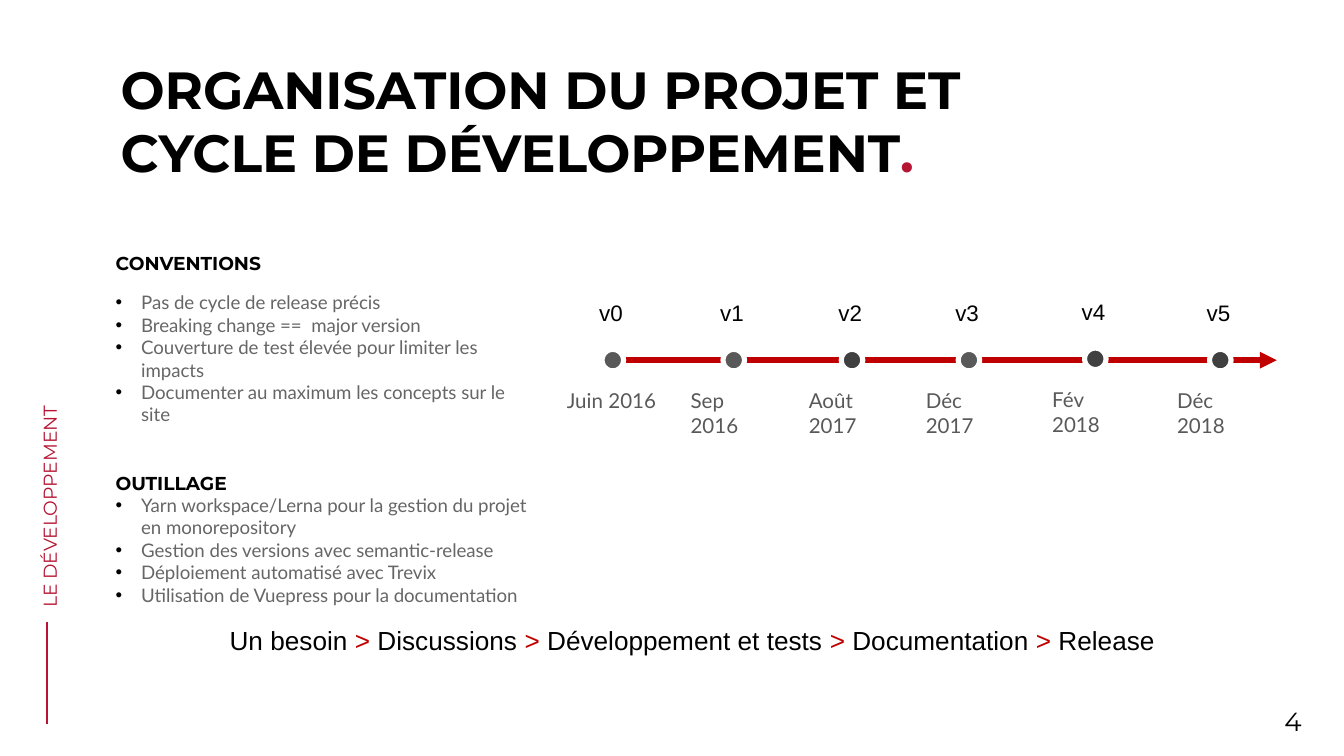
from lxml.etree import SubElement
from pptx import Presentation
from pptx.dml.color import RGBColor
from pptx.enum.shapes import MSO_CONNECTOR, MSO_SHAPE
from pptx.enum.text import MSO_ANCHOR, MSO_AUTO_SIZE, PP_ALIGN
from pptx.oxml.ns import qn
from pptx.util import Inches, Pt

COLORS = {"black": "000000", "crimson": "B51432", "red": "C00000", "grey": "666666",
          "slate": "595959", "dark": "404040", "white": "FFFFFF"}

FORMATS = {
    "title": {"name": "Montserrat", "size": Pt(28), "bold": True},
    "heading": {"name": "Montserrat", "size": Pt(10), "bold": True},
    "section": {"name": "Montserrat", "size": Pt(10)},
    "number": {"name": "Montserrat", "size": Pt(14)},
    "bullet": {"name": "Lato", "size": Pt(10)},
    "date": {"name": "Lato", "size": Pt(11)},
    "version": {"name": "Arial", "size": Pt(12)},
    "process": {"name": "Arial", "size": Pt(14)},
}

CONVENTIONS = [
    "Pas de cycle de release précis",
    "Breaking change ==  major version",
    "Couverture de test élevée pour limiter les impacts",
    "Documenter au maximum les concepts sur le site",
]
TOOLS = [
    "Yarn workspace/Lerna pour la gestion du projet en monorepository",
    "Gestion des versions avec semantic-release",
    "Déploiement automatisé avec Trevix",
    "Utilisation de Vuepress pour la documentation",
]
MILESTONES = [
    ("Juin 2016", 4.48, 2.6, 0.88, "slate"),
    ("Sep 2016", 5.38, 2.6, 0.84, "slate"),
    ("Août 2017", 6.26, 2.6, 0.9, "dark"),
    ("Déc 2017", 7.13, 2.6, 0.84, "slate"),
    ("Fév 2018", 8.07, 2.59, 0.82, "dark"),
    ("Déc 2018", 9, 2.6, 0.84, "dark"),
]
STEPS = ["Un besoin ", " Discussions ", " Développement et tests ", " Documentation ", " Release"]


class SlideBuilder:
    """Hold the style and the current slide, and draw each kind of element."""

    def __init__(self, slide):
        self.slide = slide

    def color(self, name):
        """Return a named colour."""
        return RGBColor.from_string(COLORS[name])

    def text_box(self, left, top, width, height, insets=(0.1, 0.05, 0.1, 0.05), **frame_format):
        """Add an empty text box and return its shape."""
        shape = self.slide.shapes.add_textbox(*map(Inches, (left, top, width, height)))
        sides = ("margin_left", "margin_top", "margin_right", "margin_bottom")
        settings = {"word_wrap": True, **dict(zip(sides, map(Inches, insets))), **frame_format}
        for name, value in settings.items():
            setattr(shape.text_frame, name, value)
        return shape

    def paragraph(self, shape, style, runs, bullet=False, **paragraph_format):
        """Write a paragraph of (text, colour) runs."""
        frame = shape.text_frame
        paragraph = frame.paragraphs[0]
        if paragraph.runs:
            paragraph = frame.add_paragraph()
        if bullet:
            self.bullet(paragraph)
        for name, value in paragraph_format.items():
            setattr(paragraph, name, value)
        for text, color in runs:
            run = paragraph.add_run()
            run.text = text
            for name, value in FORMATS[style].items():
                setattr(run.font, name, value)
            run.font.color.rgb = self.color(color)

    def bullet(self, paragraph):
        """Give a paragraph a black bullet and a hanging indent."""
        properties = paragraph._p.get_or_add_pPr()
        properties.set("marL", str(Inches(0.19)))
        properties.set("indent", str(Inches(-0.19)))
        bullet_color = SubElement(properties, qn("a:buClr"))
        SubElement(bullet_color, qn("a:srgbClr"), val=COLORS["black"])
        SubElement(properties, qn("a:buFont"), typeface="Arial")
        SubElement(properties, qn("a:buChar"), char="•")

    def bullet_list(self, shape, heading, items, before, gap):
        """Write a heading followed by its bullets."""
        self.paragraph(shape, "heading", [(heading, "black")], space_before=Pt(before))
        for index, item in enumerate(items):
            space = Pt(0 if index else gap)
            self.paragraph(shape, "bullet", [(item, "grey")], bullet=True, space_before=space)

    def line(self, start, end, color, width, arrow=False):
        """Add a straight line, with an arrowhead at its end if asked."""
        connector = self.slide.shapes.add_connector(
            MSO_CONNECTOR.STRAIGHT, *map(Inches, (*start, *end)))
        connector.line.color.rgb = self.color(color)
        connector.line.width = Pt(width)
        if arrow:
            SubElement(connector.line._get_or_add_ln(), qn("a:tailEnd"), type="triangle")
        SubElement(connector._element.spPr, qn("a:effectLst"))

    def dot(self, left, top, color):
        """Add a milestone dot with a white ring."""
        shape = self.slide.shapes.add_shape(
            MSO_SHAPE.OVAL, *map(Inches, (left, top, 0.16, 0.16)))
        shape.shadow.inherit = False
        shape.fill.solid()
        shape.fill.fore_color.rgb = self.color(color)
        shape.line.color.rgb = self.color("white")
        shape.line.width = Pt(2.75)

    def milestone(self, version, date, left, top, width, color):
        """Add a dot with its date below and its version above."""
        grow = {"auto_size": MSO_AUTO_SIZE.SHAPE_TO_FIT_TEXT}
        first = version == 0
        self.dot(left, top, color)
        shape = self.text_box(left - (0.37 if first else 0.34), top + 0.24, width, 0.29, **grow)
        alignment = PP_ALIGN.CENTER if first else PP_ALIGN.LEFT
        self.paragraph(shape, "date", [(date, "slate")], alignment=alignment)
        shape = self.text_box(left - 0.12, top - 0.42, 0.41, 0.3, **grow)
        self.paragraph(shape, "version", [(f"v{version}", "black")])


def main():
    """Build and save the slide."""
    presentation = Presentation()
    presentation.slide_width = Inches(10)
    presentation.slide_height = Inches(10) * 9 // 16
    builder = SlideBuilder(presentation.slides.add_slide(presentation.slide_layouts[6]))
    even = (0.1, 0.1, 0.1, 0.1)

    number = builder.text_box(9.24, 5.1, 0.76, 0.53, even, vertical_anchor=MSO_ANCHOR.MIDDLE)
    builder.paragraph(number, "number", [("4", "black")], alignment=PP_ALIGN.CENTER)

    title = builder.text_box(0.8, 0.58, 6.97, 0.63, even, vertical_anchor=MSO_ANCHOR.MIDDLE)
    builder.paragraph(title, "title", [("ORGANISATION DU PROJET ET", "black")])
    builder.paragraph(title, "title", [("CYCLE DE DÉVELOPPEMENT", "black"), (".", "crimson")])

    section = builder.text_box(-0.61, 3.47, 1.96, 0.34, even)
    section.rotation = 270
    builder.paragraph(section, "section", [("LE DÉVELOPPEMENT", "crimson")])
    builder.line((0.35, 4.63), (0.35, 5.39), "crimson", 0.75)

    builder.line((4.56, 2.68), (9.5, 2.68), "red", 3, arrow=True)
    for version, milestone in enumerate(MILESTONES):
        builder.milestone(version, *milestone)

    practices = builder.text_box(0.79, 1.5, 3.29, 3.55, (0.07, 0.37, 0.11, 0.04))
    builder.bullet_list(practices, "CONVENTIONS", CONVENTIONS, before=0, gap=9.3)
    builder.bullet_list(practices, "OUTILLAGE", TOOLS, before=24.5, gap=0)

    process = builder.text_box(1.61, 4.6, 7.11, 0.34, word_wrap=False,
                               auto_size=MSO_AUTO_SIZE.SHAPE_TO_FIT_TEXT)
    runs = [(STEPS[0], "black")]
    for step in STEPS[1:]:
        runs += [(">", "red"), (step, "black")]
    builder.paragraph(process, "process", runs)

    presentation.save("out.pptx")


if __name__ == "__main__":
    main()
